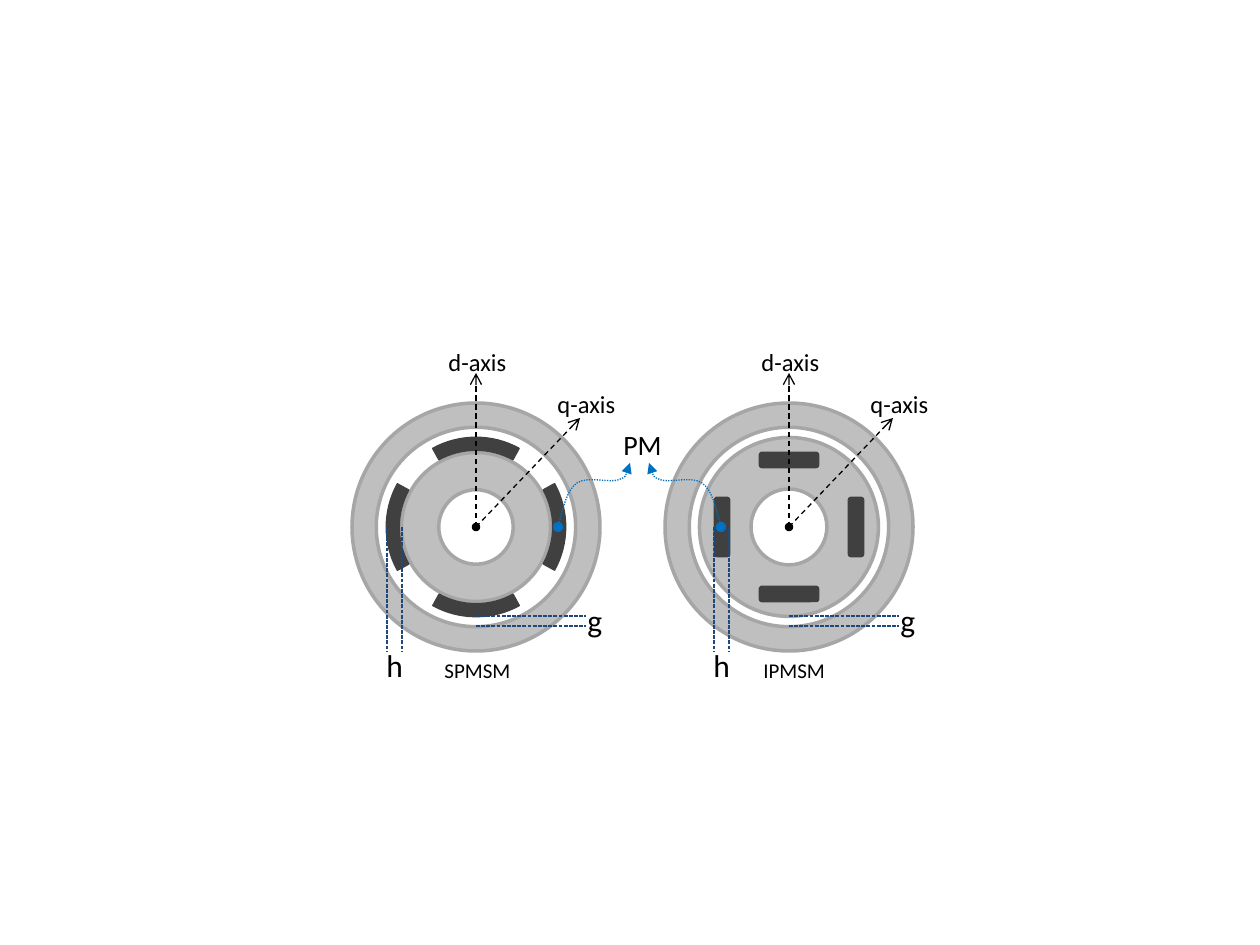
from lxml import etree
from pptx import Presentation
from pptx import util as u
from pptx.dml.color import RGBColor
from pptx.enum import dml, shapes, text
from pptx.oxml import ns

SCALE = u.Inches(1) / 126
CENTER_Y = 527
BLACK, MAGNET, STEEL, EDGE = "000000", "404040", "BFBFBF", "A6A6A6"
GUIDE, POINTER = "1F497D", "0070C0"
DASH = dml.MSO_LINE.DASH
SHORT_DASH = dml.MSO_LINE.SQUARE_DOT
DOTTED = dml.MSO_LINE.ROUND_DOT
LABEL_HEIGHTS = {12: 38, 14: 43, 16: 47, 18: 50}
POINTER_CURVE = [(0, 0), (5, -18), (9, -37), (19, -44), (29, -51),
                 (52, -44), (60, -47), (69, -50), (70, -57), (72, -64)]


def px(value):
    """Turn px into EMU."""
    return u.Emu(round(value * SCALE))


def color(hex_string):
    """Return the colour of a hex string."""
    return RGBColor.from_string(hex_string)


def style_line(line, hex_string, width, dash=None, **ends):
    """Set colour, width, dash and arrowheads of a line."""
    line.color.rgb = color(hex_string)
    line.width = u.Pt(width)
    if dash:
        line.dash_style = dash
    for name, kind in ends.items():
        etree.SubElement(line._get_or_add_ln(), ns.qn(f"a:{name}"), type=kind)


def add_centered(slide, kind, x, y, width, height, fill, edge, weight,
                 adjustments=(), rotation=0):
    """Add a preset shape around a centre point."""
    shape = slide.shapes.add_shape(
        kind, px(x - width / 2), px(y - height / 2), px(width), px(height))
    shape.shadow.inherit = False
    shape.fill.solid()
    shape.fill.fore_color.rgb = color(fill)
    style_line(shape.line, edge, weight)
    for index, value in enumerate(adjustments):
        shape.adjustments[index] = value
    shape.rotation = rotation


def add_ring(slide, x, diameter, thickness):
    """Add a steel ring on the motor axis."""
    add_centered(slide, shapes.MSO_SHAPE.DONUT, x, CENTER_Y, diameter, diameter,
                 STEEL, EDGE, 2, [thickness])


def add_line(slide, start, end, hex_string, dash, **ends):
    """Add a dashed straight line."""
    connector = slide.shapes.add_connector(
        shapes.MSO_CONNECTOR.STRAIGHT, *map(px, start + end))
    style_line(connector.line, hex_string, 0.75, dash, **ends)
    etree.SubElement(connector._element.spPr, ns.qn("a:effectLst"))


def add_label(slide, words, x, y, width, size):
    """Add a one-line label around a centre point."""
    height = LABEL_HEIGHTS[size]
    box = slide.shapes.add_textbox(
        px(x - width / 2), px(y - height / 2), px(width), px(height))
    frame = box.text_frame
    frame.word_wrap = False
    frame.auto_size = text.MSO_AUTO_SIZE.SHAPE_TO_FIT_TEXT
    run = frame.paragraphs[0].add_run()
    run.text = words
    run.font.name = "Calibri"
    run.font.size = u.Pt(size)
    run.font.color.rgb = color(BLACK)


def add_pointer(slide, x, direction):
    """Add a curved dotted arrow from a magnet to its label."""
    points = [(x + direction * dx, CENTER_Y + dy) for dx, dy in POINTER_CURVE]
    builder = slide.shapes.build_freeform(*points[0], scale=SCALE)
    builder.add_line_segments(points[1:], close=False)
    shape = builder.convert_to_shape()
    segments = list(shape._element.iter(ns.qn("a:lnTo")))
    outline = segments[0].getparent()
    for first in range(0, len(segments), 3):
        curve = etree.SubElement(outline, ns.qn("a:cubicBezTo"))
        for segment in segments[first:first + 3]:
            curve.append(segment[0])
            outline.remove(segment)
    shape.shadow.inherit = False
    shape.fill.background()
    style_line(shape.line, POINTER, 0.75, DOTTED, headEnd="oval", tailEnd="triangle")


def add_surface_rotor(slide, x):
    """Add a rotor with four arc magnets on its surface."""
    add_ring(slide, x, 149, 0.25)
    for rotation in range(0, 360, 90):
        add_centered(slide, shapes.MSO_SHAPE.BLOCK_ARC, x, CENTER_Y, 179, 179,
                     MAGNET, MAGNET, 1, [144.752, 179.251, 0.071], rotation)


def add_interior_rotor(slide, x):
    """Add a rotor with four bar magnets inside it."""
    add_ring(slide, x, 179, 0.288)
    for dx, dy, rotation in [(0, -67, 0), (67, 0, 90), (0, 67, 0), (-67, 0, 90)]:
        add_centered(slide, shapes.MSO_SHAPE.ROUNDED_RECTANGLE, x + dx, CENTER_Y + dy,
                     59, 15, MAGNET, MAGNET, 1, rotation=rotation)


def add_motor(slide, x, name, name_x, name_width, add_rotor, magnet_edges):
    """Add a motor section with its axes, dimensions and labels."""
    center = (x, CENTER_Y)
    add_ring(slide, x, 248, 0.098)
    add_rotor(slide, x)
    for dx, dy in [(0, -154), (104, -109)]:
        add_line(slide, center, (x + dx, CENTER_Y + dy), BLACK, DASH, tailEnd="arrow")
    add_centered(slide, shapes.MSO_SHAPE.OVAL, *center, 5, 5, BLACK, BLACK, 2)
    for dx in magnet_edges:
        add_line(slide, (x + dx, CENTER_Y), (x + dx, CENTER_Y + 124), GUIDE, SHORT_DASH)
    for dy in (89, 99):
        add_line(slide, (x, CENTER_Y + dy), (x + 110, CENTER_Y + dy), GUIDE, SHORT_DASH)
    labels = [("d-axis", 2, -165, 84, 14), ("q-axis", 111, -123, 84, 14),
              ("h", sum(magnet_edges) / 2 + 1, 138, 43, 18), ("g", 119, 93, 40, 18),
              (name, name_x, 143, name_width, 12)]
    for words, dx, dy, width, size in labels:
        add_label(slide, words, x + dx, CENTER_Y + dy, width, size)


def main():
    """Build and save the slide."""
    presentation = Presentation()
    presentation.slide_width, presentation.slide_height = px(1260), px(945)
    slide = presentation.slides.add_slide(presentation.slide_layouts[6])
    add_motor(slide, 476, "SPMSM", 2, 92, add_surface_rotor, (-89, -74))
    add_motor(slide, 789, "IPMSM", 6, 88, add_interior_rotor, (-75, -60))
    add_pointer(slide, 558, 1)
    add_pointer(slide, 721, -1)
    add_label(slide, "PM", 643, 445, 64, 16)
    presentation.save("out.pptx")


if __name__ == "__main__":
    main()
